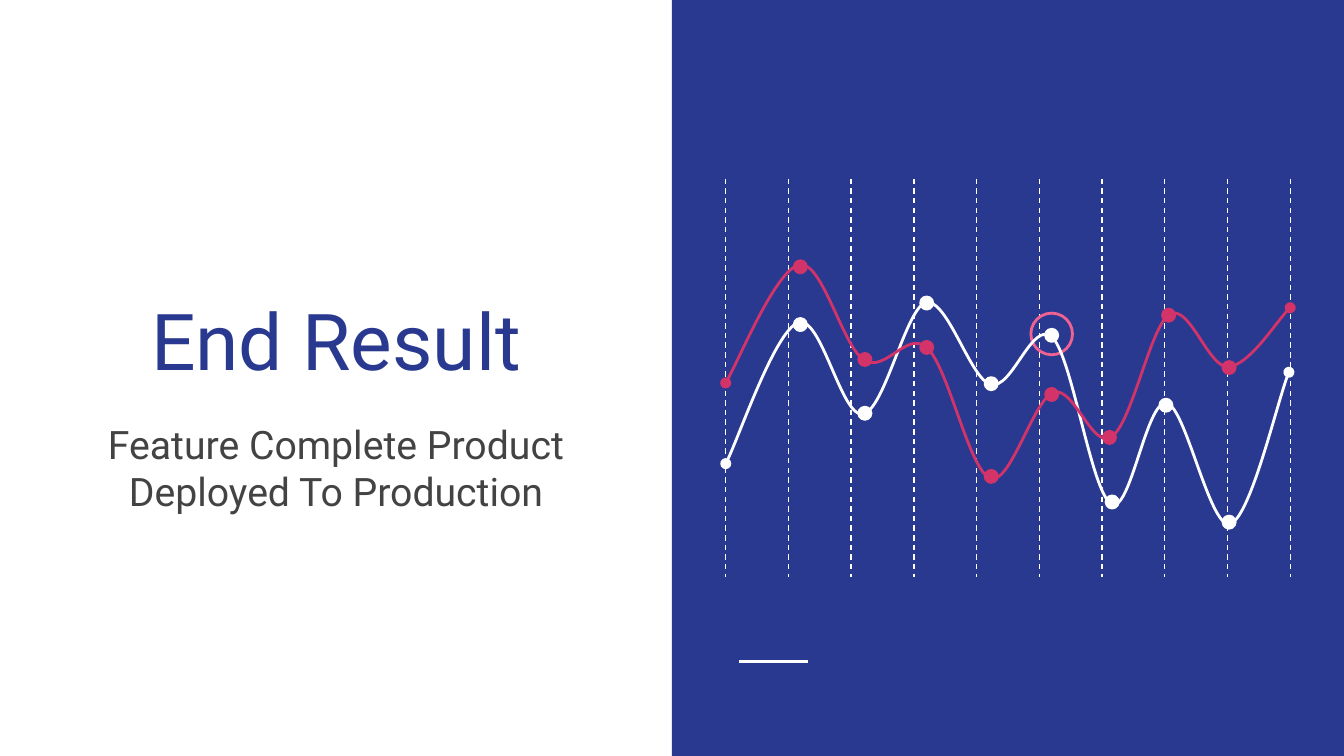
from dataclasses import dataclass

import pptx
import pptx.dml.color
import pptx.enum.dml
import pptx.enum.shapes
import pptx.enum.text
import pptx.oxml
import pptx.oxml.ns
import pptx.util

Inches = pptx.util.Inches
Pt = pptx.util.Pt
MSO_SHAPE = pptx.enum.shapes.MSO_SHAPE
ANCHOR = pptx.enum.text.MSO_ANCHOR


@dataclass(frozen=True)
class Theme:
    navy: str = "2A3990"
    white: str = "FFFFFF"
    red: str = "D23369"
    pink: str = "F06292"
    grey: str = "434343"
    font: str = "Roboto"
    title: int = 42
    subtitle: int = 21
    rule: float = 1.5
    grid: float = 0.75


THEME = Theme()
WIDTH = 10
HEIGHT = WIDTH * 9 / 16
DOT = 0.09
WHITE_CURVE = [
    (0, 2.12),
    (0.09, 1.95), (0.37, 1.13), (0.54, 1.07),
    (0.71, 1.01), (0.86, 1.78), (1.02, 1.75),
    (1.18, 1.73), (1.34, 0.96), (1.49, 0.92),
    (1.65, 0.89), (1.82, 1.49), (1.97, 1.53),
    (2.13, 1.58), (2.28, 1.04), (2.43, 1.18),
    (2.58, 1.33), (2.72, 2.34), (2.87, 2.42),
    (3.01, 2.5), (3.13, 1.64), (3.28, 1.67),
    (3.42, 1.69), (3.6, 2.6), (3.75, 2.57),
    (3.9, 2.53), (4.11, 1.63), (4.19, 1.44),
]
WHITE_DOTS = [(0.51, 1.04), (0.99, 1.7), (1.45, 0.88), (1.93, 1.48),
              (2.38, 1.12), (2.83, 2.36), (3.23, 1.64), (3.7, 2.51)]
RED_CURVE = [
    (0, 1.52),
    (0.09, 1.37), (0.38, 0.67), (0.55, 0.64),
    (0.72, 0.61), (0.87, 1.25), (1.03, 1.35),
    (1.19, 1.45), (1.35, 1.12), (1.5, 1.26),
    (1.66, 1.41), (1.81, 2.17), (1.97, 2.23),
    (2.12, 2.28), (2.29, 1.64), (2.44, 1.59),
    (2.59, 1.54), (2.73, 2.02), (2.87, 1.92),
    (3.02, 1.83), (3.16, 1.1), (3.3, 1.01),
    (3.45, 0.92), (3.59, 1.41), (3.74, 1.4),
    (3.89, 1.39), (4.12, 1.03), (4.2, 0.96),
]
RED_DOTS = [(0.51, 0.61), (0.99, 1.3), (1.45, 1.21), (1.93, 2.17),
            (2.38, 1.56), (2.81, 1.88), (3.25, 0.97), (3.7, 1.36)]


def rgb(color):
    return pptx.dml.color.RGBColor.from_string(color)


def element(tag, **attrs):
    el = pptx.oxml.parse_xml(f"<{tag} {pptx.oxml.ns.nsdecls('a')}/>")
    for name, value in attrs.items():
        el.set(name, value)
    return el


def assign(obj, values):
    for name, value in values.items():
        setattr(obj, name, value)


def style(sp, fill=None, line=None):
    sp.shadow.inherit = False
    if fill:
        sp.fill.solid()
        sp.fill.fore_color.rgb = rgb(fill)
    else:
        sp.fill.background()
    if line:
        sp.line.color.rgb = rgb(line)
        sp.line.width = Pt(THEME.rule)
    else:
        sp.line.fill.background()


def add_shape(shapes, kind, box, fill=None, line=None):
    sp = shapes.add_shape(kind, *map(Inches, box))
    style(sp, fill, line)


def add_line(shapes, start, end, width, dash=None):
    ln = shapes.add_connector(pptx.enum.shapes.MSO_CONNECTOR.STRAIGHT,
                              *map(Inches, start + end))
    ln.line.color.rgb = rgb(THEME.white)
    assign(ln.line, {"width": Pt(width), "dash_style": dash})
    ln._element.spPr.append(element("a:effectLst"))


def add_text(shapes, box, text, size, color, anchor):
    tb = shapes.add_textbox(*map(Inches, box))
    tf = tb.text_frame
    margins = dict.fromkeys(
        ("margin_left", "margin_top", "margin_right", "margin_bottom"), Inches(0.1))
    assign(tf, {"word_wrap": True, "vertical_anchor": anchor, **margins})
    p = tf.paragraphs[0]
    p.alignment = pptx.enum.text.PP_ALIGN.CENTER
    r = p.add_run()
    r.text = text
    assign(r.font, {"name": THEME.font, "size": Pt(size)})
    r.font.color.rgb = rgb(color)


def add_curve(shapes, points, color):
    emu = [(Inches(x), Inches(y)) for x, y in points]
    builder = shapes.build_freeform(*emu[0])
    builder.add_line_segments(emu[1:], close=False)
    sp = builder.convert_to_shape()
    style(sp, line=color)
    segments = sp._element.xpath(".//a:lnTo")
    for i in range(0, len(segments), 3):
        bezier = element("a:cubicBezTo")
        segments[i].addprevious(bezier)
        for segment in segments[i:i + 3]:
            bezier.append(segment[0])
            segment.getparent().remove(segment)
    ln = sp.line._get_or_add_ln()
    for end in ("a:headEnd", "a:tailEnd"):
        ln.append(element(end, type="oval"))


def add_series(shapes, left, top, points, dots, color):
    add_curve(shapes, [(left + x, top + y) for x, y in points], color)
    for x, y in dots:
        add_shape(shapes, MSO_SHAPE.OVAL, (left + x, top + y, DOT, DOT), color, color)


def add_heading(shapes, left, top, width):
    add_text(shapes, (left, top, width, 1.71), "End Result",
             THEME.title, THEME.navy, ANCHOR.BOTTOM)
    add_text(shapes, (left, top + 1.77, width, 1.39),
             "Feature Complete Product Deployed To Production",
             THEME.subtitle, THEME.grey, ANCHOR.TOP)


def add_panel(shapes, left, top, width, height):
    add_shape(shapes, MSO_SHAPE.RECTANGLE, (left, top, width, height), THEME.navy)
    y = top + 4.92
    add_line(shapes, (left + 0.5, y), (left + 1.01, y), THEME.rule)


def add_line_art(shapes, left, top, width, height, columns=10):
    for i in range(columns):
        x = left + i * width / (columns - 1)
        add_line(shapes, (x, top), (x, top + height), THEME.grid,
                 pptx.enum.dml.MSO_LINE.DASH)
    add_shape(shapes, MSO_SHAPE.OVAL, (left + 2.27, top + 1, 0.31, 0.31),
              line=THEME.pink)
    add_series(shapes, left, top, WHITE_CURVE, WHITE_DOTS, THEME.white)
    add_series(shapes, left, top, RED_CURVE, RED_DOTS, THEME.red)


def main():
    prs = pptx.Presentation()
    assign(prs, {"slide_width": Inches(WIDTH), "slide_height": Inches(HEIGHT)})
    s = prs.slides.add_slide(prs.slide_layouts[6])
    add_panel(s.shapes, WIDTH / 2, 0, WIDTH / 2, HEIGHT)
    add_heading(s.shapes, 0.29, 1.26, 4.42)
    add_line_art(s.shapes, 5.4, 1.33, 4.2, 2.96)
    prs.save("out.pptx")


if __name__ == "__main__":
    main()
